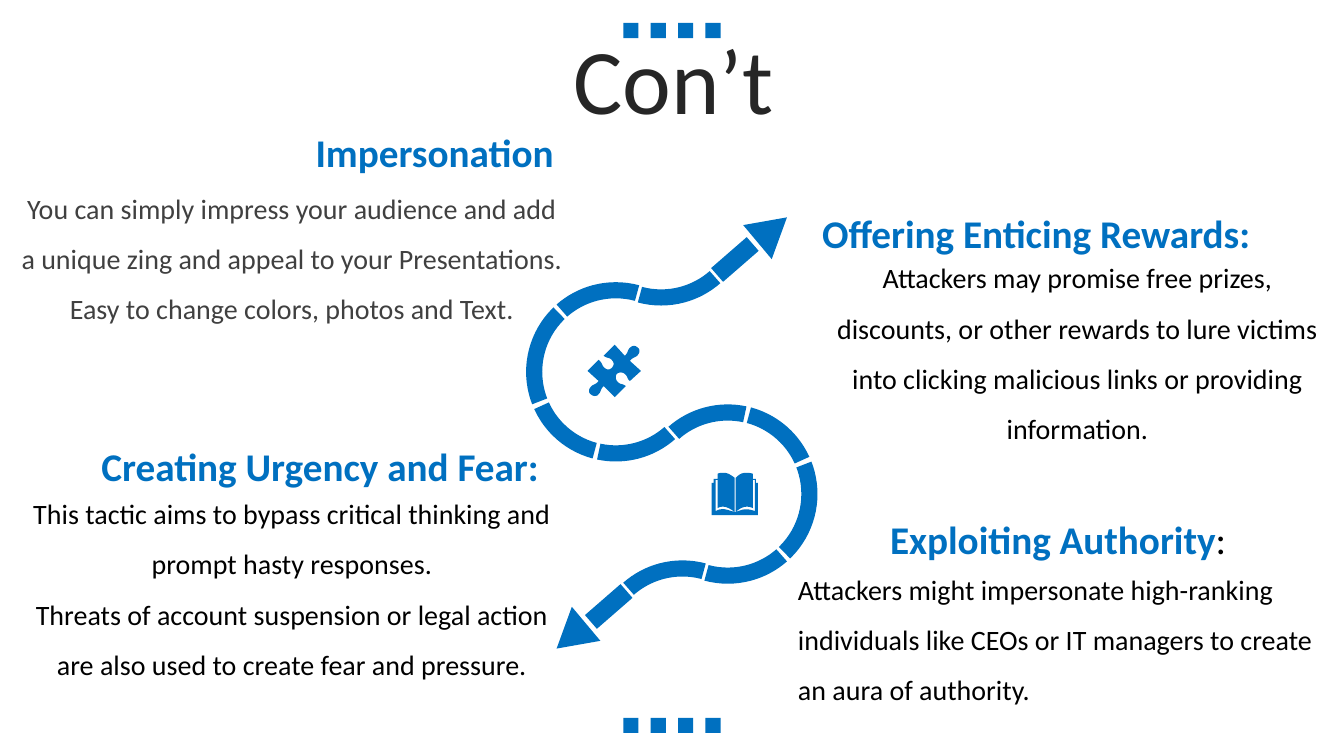
from pptx import Presentation
from pptx.dml.color import RGBColor
from pptx.enum.shapes import MSO_SHAPE
from pptx.enum.text import MSO_ANCHOR, MSO_AUTO_SIZE, PP_ALIGN
from pptx.util import Cm, Pt

LEFT, CENTER, RIGHT = PP_ALIGN.LEFT, PP_ALIGN.CENTER, PP_ALIGN.RIGHT
MIDDLE, NO_FIT = MSO_ANCHOR.MIDDLE, MSO_AUTO_SIZE.NONE
ARC, BAR, HEAD = MSO_SHAPE.BLOCK_ARC, MSO_SHAPE.RECTANGLE, MSO_SHAPE.ISOSCELES_TRIANGLE

FONT = "Calibri"
COLORS = {"blue": "0070C0", "title": "262626", "grey": "404040", "black": "000000"}
TITLE = "Con’t"

# Heading runs, heading box, heading alignment, paragraphs, text box, alignment, colour.
# Boxes are left, top, width, height in centimetres.
TOPICS = [
    ([("Impersonation", "blue")], (0.28, 3.12, 13.92, 1.45), RIGHT,
     ["You can simply impress your audience and add a unique zing and appeal to your "
      "Presentations. Easy to change colors, photos and Text."],
     (0.28, 4.27, 14.15, 5.21), CENTER, "grey"),
    ([("Offering Enticing Rewards:", "blue")], (20.47, 5.16, 13.39, 1.45), LEFT,
     ["Attackers may promise free prizes, discounts, or other rewards to lure victims "
      "into clicking malicious links or providing information."],
     (20.47, 6.02, 13.36, 5.38), CENTER, "black"),
    ([("Creating Urgency and Fear:", "blue")], (1.7, 11.02, 12.73, 1.45), CENTER,
     ["This tactic aims to bypass critical thinking and prompt hasty responses.",
      "Threats of account suspension or legal action are also used to create fear "
      "and pressure."],
     (0.28, 11.96, 14.15, 6.68), CENTER, "black"),
    ([("Exploiting Authority", "blue"), (":", "black")],
     (19.86, 12.85, 13.61, 1.45), CENTER,
     ["Attackers might impersonate high-ranking individuals like CEOs or IT managers "
      "to create an aura of authority."],
     (19.86, 13.87, 13.56, 3.94), LEFT, "black"),
]

# Upper half of the winding arrow: shape, centre, size, rotation, arc's start and end in degrees.
LOOP, TAIL, ARC_SIZE = (15.52, 9.37), (16.66, 5.44), (4.52, 4.52)
ARROW_HALF = [
    (ARC, LOOP, ARC_SIZE, 285, (233.82, 300.96)),
    (ARC, LOOP, ARC_SIZE, 285, (303.68, 0.12)),
    (ARC, LOOP, ARC_SIZE, 285, (180, 230.49)),
    (ARC, LOOP, ARC_SIZE, 105, (303.68, 357.1)),
    (ARC, TAIL, ARC_SIZE, 105, (303.68, 0.03)),
    (BAR, (18.52, 6.54), (0.46, 1.19), 49, None),
    (HEAD, (19.46, 5.79), (1.12, 0.97), 50, None),
]
ARC_THICKNESS = 0.09
PIVOT = (16.93, 10.91)

# Icon outlines on a fine grid: pairs are corners, sextets are Bezier curves.
GRID_CM = 0.0254
PUZZLE = [
    (633, 345), (635, 346, 635, 350, 633, 352), (631, 355, 628, 354, 625, 358),
    (636, 368), (625, 378), (622, 376, 623, 373, 620, 371), (618, 369, 614, 369, 612, 371),
    (611, 372, 610, 376, 613, 379), (616, 382, 617, 380, 621, 383), (610, 394), (599, 383),
    (595, 387, 597, 388, 594, 391), (592, 394, 588, 393, 586, 391),
    (584, 390, 584, 386, 586, 384), (588, 381, 591, 382, 594, 378), (583, 368), (594, 357),
    (598, 360, 597, 363, 600, 365), (602, 367, 605, 367, 607, 365),
    (609, 363, 610, 360, 607, 357), (604, 354, 603, 356, 599, 353), (610, 342), (620, 353),
    (624, 349, 622, 348, 625, 345), (628, 342, 631, 343, 633, 345),
]
BOOK = [
    (729, 508), (730, 508), (737, 505, 741, 504, 749, 507), (749, 476), (747, 476),
    (747, 504), (741, 501, 735, 503, 730, 508), (730, 474), (733, 471, 736, 469, 740, 469),
    (742, 469, 744, 469, 747, 470), (747, 475), (750, 475), (750, 479), (752, 479),
    (752, 511), (706, 511), (706, 479), (708, 479), (708, 475), (712, 475), (712, 470),
    (714, 469, 716, 469, 718, 469), (722, 469, 725, 471, 729, 474), (729, 508),
    (723, 503, 717, 501, 712, 504), (712, 476), (710, 476), (710, 507),
    (717, 503, 722, 506, 729, 508),
]
CURVE_STEPS = 6

SQUARE_LEFT, SQUARE_STEP, SQUARE_SIZE = 15.71, 0.69, 0.38
SQUARE_TOPS = (0.58, 18.09)


def cm_all(values):
    return [Cm(value) for value in values]


def paint(shape):
    shape.shadow.inherit = False
    shape.fill.solid()
    shape.fill.fore_color.rgb = RGBColor.from_string(COLORS["blue"])
    shape.line.fill.background()


def style(span, size, color, bold=False):
    span.font.name, span.font.size, span.font.bold = FONT, Pt(size), bold
    span.font.color.rgb = RGBColor.from_string(COLORS[color])


def add_text_box(slide, box):
    frame = slide.shapes.add_textbox(*cm_all(box)).text_frame
    frame.word_wrap = True
    return frame


def add_topic(slide, heading, heading_box, heading_align, lines, box, align, color):
    frame = add_text_box(slide, box)
    frame.text = "\n".join(lines)
    for para in frame.paragraphs:
        para.alignment, para.line_spacing = align, 1.5
        style(para.runs[0], 20, color)
    para = add_text_box(slide, heading_box).paragraphs[0]
    para.alignment = heading_align
    for text, span_color in heading:
        span = para.add_run()
        span.text = text
        style(span, 28, span_color, bold=span_color == "blue")


def add_arrow_part(slide, kind, center, size, rotation, angles):
    corner = [middle - length / 2 for middle, length in zip(center, size)]
    part = slide.shapes.add_shape(kind, *cm_all([*corner, *size]))
    part.rotation = rotation
    if angles:
        # Angles are stored in 60000ths of a degree, adjustments in 100000ths.
        for index, angle in enumerate(angles):
            part.adjustments[index] = angle * 0.6
        part.adjustments[2] = ARC_THICKNESS
    paint(part)


def add_icon(slide, outline):
    points = [outline[0]]
    for segment in outline[1:]:
        if len(segment) == 2:
            points.append(segment)
            continue
        nodes = [points[-1], segment[:2], segment[2:4], segment[4:]]
        for step in range(1, CURVE_STEPS + 1):
            t = step / CURVE_STEPS
            weights = ((1 - t) ** 3, 3 * t * (1 - t) ** 2, 3 * t ** 2 * (1 - t), t ** 3)
            points.append(tuple(sum(weight * node[axis] for weight, node in zip(weights, nodes))
                                for axis in (0, 1)))
    corners = [cm_all((x * GRID_CM, y * GRID_CM)) for x, y in points]
    builder = slide.shapes.build_freeform(*corners[0])
    builder.add_line_segments(corners[1:], close=True)
    paint(builder.convert_to_shape())


def main():
    deck = Presentation()
    deck.slide_width, deck.slide_height = Cm(33.87), Cm(19.05)
    slide = deck.slides.add_slide(deck.slide_layouts[5])

    for top in SQUARE_TOPS:
        for column in range(4):
            left = SQUARE_LEFT + column * SQUARE_STEP
            paint(slide.shapes.add_shape(BAR, *cm_all((left, top, SQUARE_SIZE, SQUARE_SIZE))))

    title = slide.shapes.title
    title.left, title.top, title.width, title.height = cm_all((0.89, 1.12, 32.16, 2.01))
    frame = title.text_frame
    frame.text = TITLE
    frame.auto_size, frame.vertical_anchor = NO_FIT, MIDDLE
    para = frame.paragraphs[0]
    para.alignment, para.line_spacing = CENTER, 0.9
    style(para.runs[0], 66, "title")

    for topic in TOPICS:
        add_topic(slide, *topic)

    for kind, center, size, rotation, angles in ARROW_HALF:
        opposite = [2 * pivot - middle for pivot, middle in zip(PIVOT, center)]
        add_arrow_part(slide, kind, center, size, rotation, angles)
        add_arrow_part(slide, kind, opposite, size, (rotation + 180) % 360, angles)

    for outline in (PUZZLE, BOOK):
        add_icon(slide, outline)

    deck.save("out.pptx")


if __name__ == "__main__":
    main()
